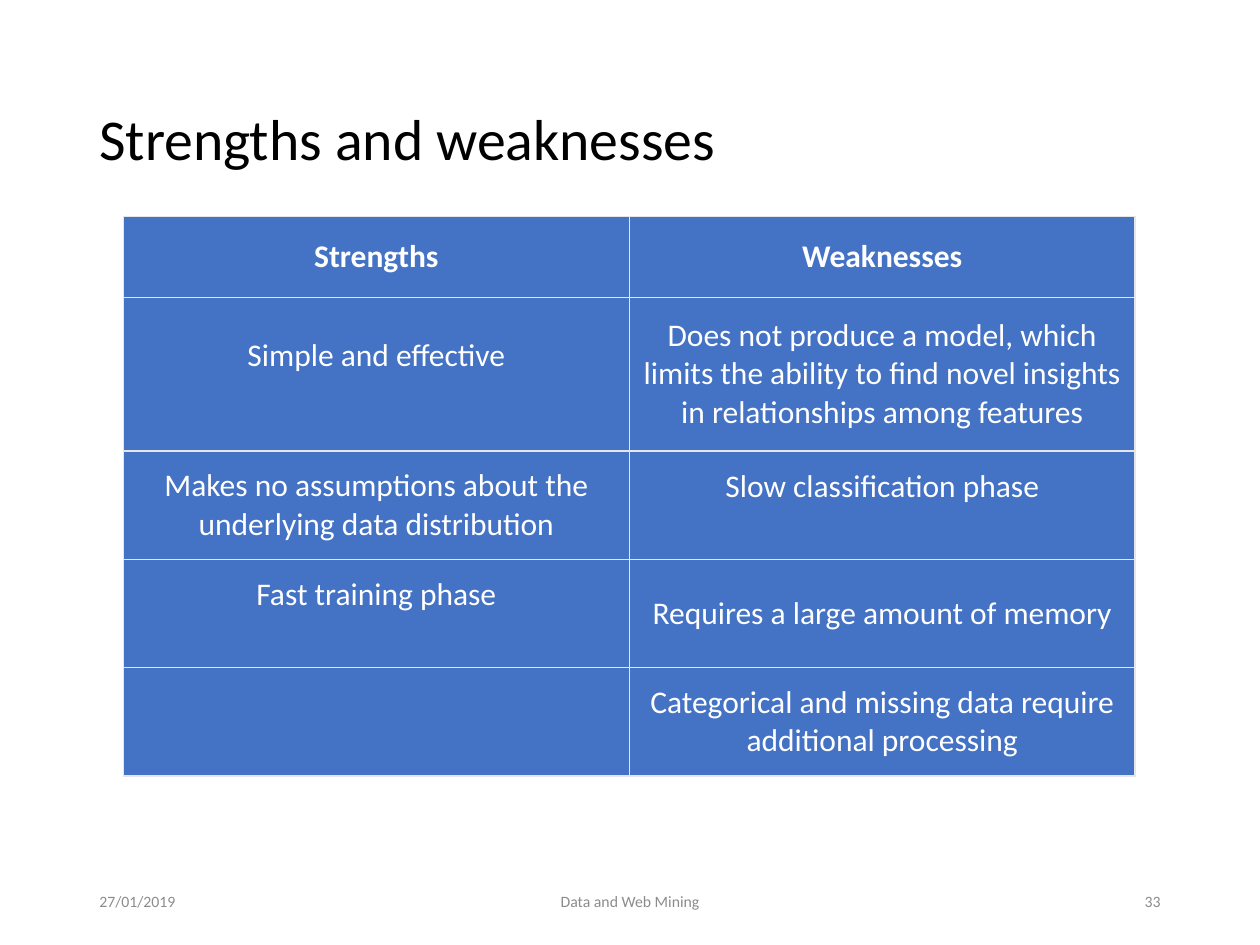
from lxml.etree import SubElement
from pptx import Presentation
from pptx.dml.color import RGBColor
from pptx.enum.text import MSO_ANCHOR, PP_ALIGN
from pptx.oxml.ns import qn
from pptx.util import Inches, Pt

COLORS = {
    "title": "000000",
    "footer": "8C8C8C",
    "cell": "4472C4",
    "cell_text": "FFFFFF",
    "border": "E7E6E6",
}
FONT = "Calibri"
BORDER_WIDTH = Pt(1)
CELL_MARGIN = 0.05
RAISED_MARGIN = 0.35  # lifts the text by half a line

HEADINGS = ("Strengths", "Weaknesses")
COMPARISON = [
    ("Simple and effective",
     "Does not produce a model, which limits the ability to find novel insights "
     "in relationships among features"),
    ("Makes no assumptions about the underlying data distribution",
     "Slow classification phase"),
    ("Fast training phase", "Requires a large amount of memory"),
    ("", "Categorical and missing data require additional processing"),
]
RAISED = {"Simple and effective", "Slow classification phase", "Fast training phase"}
ROW_HEIGHTS = [0.64, 1.22, 0.86, 0.86, 0.86]


def write_text(frame, text, *, size, color, align=PP_ALIGN.LEFT, bold=False,
               line_spacing=None):
    frame.word_wrap = True
    paragraph = frame.paragraphs[0]
    paragraph.alignment = align
    if line_spacing:
        paragraph.line_spacing = line_spacing
    run = paragraph.add_run()
    run.text = text
    run.font.name = FONT
    run.font.size = Pt(size)
    run.font.bold = bold
    run.font.color.rgb = RGBColor.from_string(COLORS[color])


def add_label(slide, box, text, **text_format):
    frame = slide.shapes.add_textbox(*map(Inches, box)).text_frame
    frame.vertical_anchor = MSO_ANCHOR.MIDDLE
    write_text(frame, text, **text_format)


def add_title(slide, box):
    add_label(slide, box, "Strengths and weaknesses", size=33, color="title",
              line_spacing=0.9)


def add_footer(slide, box):
    left, top, width, height = box
    side_width, middle_width = 2.25, 3.38
    parts = [
        ("27/01/2019", left, side_width, PP_ALIGN.LEFT),
        ("Data and Web Mining", left + (width - middle_width) / 2, middle_width,
         PP_ALIGN.CENTER),
        ("33", left + width - side_width, side_width, PP_ALIGN.RIGHT),
    ]
    for text, part_left, part_width, align in parts:
        add_label(slide, (part_left, top, part_width, height), text,
                  size=9, color="footer", align=align)


def set_borders(cell):
    properties = cell._tc.get_or_add_tcPr()
    for position, side in enumerate(("a:lnL", "a:lnR", "a:lnT", "a:lnB")):
        line = SubElement(properties, qn(side), w=str(BORDER_WIDTH))
        properties.insert(position, line)
        fill = SubElement(line, qn("a:solidFill"))
        SubElement(fill, qn("a:srgbClr"), val=COLORS["border"])


def add_comparison(slide, box):
    rows = [HEADINGS, *COMPARISON]
    table = slide.shapes.add_table(len(rows), len(HEADINGS), *map(Inches, box)).table
    for row, height in zip(table.rows, ROW_HEIGHTS):
        row.height = Inches(height)
    for row_index, texts in enumerate(rows):
        for column_index, text in enumerate(texts):
            cell = table.cell(row_index, column_index)
            cell.fill.solid()
            cell.fill.fore_color.rgb = RGBColor.from_string(COLORS["cell"])
            cell.vertical_anchor = MSO_ANCHOR.MIDDLE
            cell.margin_bottom = Inches(RAISED_MARGIN if text in RAISED else CELL_MARGIN)
            set_borders(cell)
            if text:
                write_text(cell.text_frame, text, size=18, color="cell_text",
                           align=PP_ALIGN.CENTER, bold=row_index == 0)


def main():
    presentation = Presentation()
    presentation.slide_width = Inches(10)
    presentation.slide_height = Inches(7.5)
    slide = presentation.slides.add_slide(presentation.slide_layouts[6])
    add_title(slide, (0.69, 0.4, 8.62, 1.45))
    add_footer(slide, (0.69, 6.95, 8.62, 0.4))
    add_comparison(slide, (0.98, 1.72, 8.03, sum(ROW_HEIGHTS)))
    presentation.save("out.pptx")


if __name__ == "__main__":
    main()
